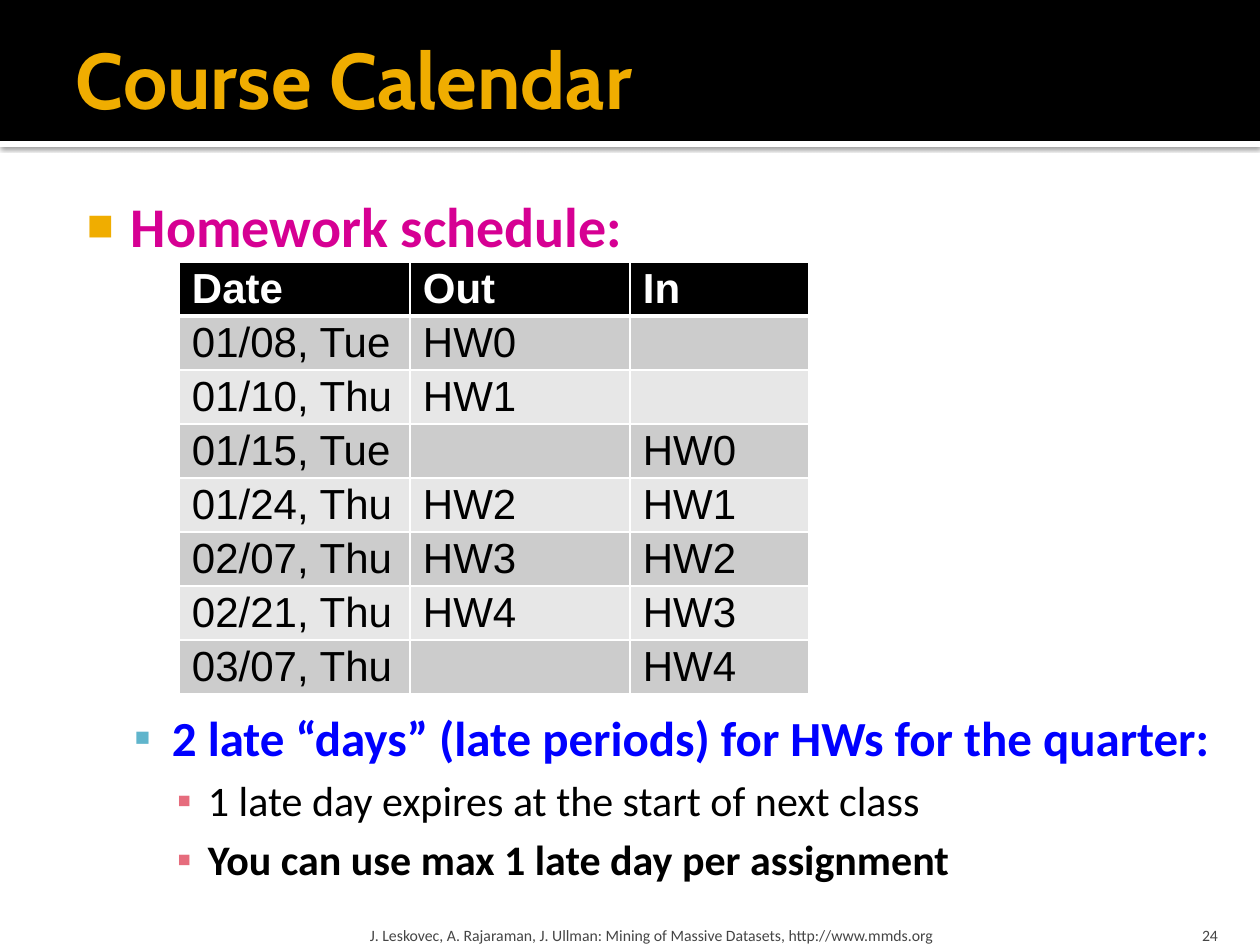
import lxml.etree
import pptx
import pptx.dml.color
import pptx.enum.shapes
import pptx.enum.text
import pptx.oxml
import pptx.oxml.ns
import pptx.util

SCALE = 914400 // 126
ANCHOR = pptx.enum.text.MSO_ANCHOR
ALIGN = pptx.enum.text.PP_ALIGN
NAMESPACE = pptx.oxml.ns.nsdecls("a")

SCHEDULE = [
    ("Date", "Out", "In"),
    ("01/08, Tue", "HW0", ""),
    ("01/10, Thu", "HW1", ""),
    ("01/15, Tue", "", "HW0"),
    ("01/24, Thu", "HW2", "HW1"),
    ("02/07, Thu", "HW3", "HW2"),
    ("02/21, Thu", "HW4", "HW3"),
    ("03/07, Thu", "", "HW4"),
]

BODY = [
    ("Homework schedule:", 0, 32, "D60093", True, 0, (60, 44), ("■", "F0AD00", 80)),
    ("2 late “days” (late periods) for HWs for the quarter:",
     1, 28, "0000FF", True, 256, (101, 38), ("▪", "60B5CC", 100)),
    ("1 late day expires at the start of next class",
     2, 24, "000000", False, 5, (137, 31), ("▪", "E66C7D", 100)),
    ("You can use max 1 late day per assignment",
     2, 24, "000000", True, 5, (137, 31), ("▪", "E66C7D", 100)),
]


def px(length):
    """Turn whole pixels into EMU."""
    return pptx.util.Emu(length * SCALE)


def color(code):
    """Turn a hex string into a colour."""
    return pptx.dml.color.RGBColor.from_string(code)


def style(para, name, size, code, bold=False):
    """Set the font of a paragraph."""
    font = para.font
    font.name = name
    font.size = pptx.util.Pt(size)
    font.bold = bold
    font.color.rgb = color(code)


def set_frame(frame, anchor, left, top, right, bottom):
    """Set wrapping, anchor and margins of a text frame."""
    frame.word_wrap = True
    frame.vertical_anchor = anchor
    frame.margin_left, frame.margin_top = px(left), px(top)
    frame.margin_right, frame.margin_bottom = px(right), px(bottom)


def add_band(page, box, code):
    """Add a plain rectangle behind the title."""
    band = page.shapes.add_shape(
        pptx.enum.shapes.MSO_SHAPE.RECTANGLE, *map(px, box))
    band.shadow.inherit = False
    band.fill.solid()
    band.fill.fore_color.rgb = color(code)
    band.line.fill.background()
    page.shapes.title.element.addprevious(band.element)
    return band


def add_header(page, box):
    """Place the title on its black band with a shadowed white edge."""
    left, top, width, height = box
    edge = add_band(page, (left, top + height, width, 6), "FFFFFF")
    effects = edge.element.spPr.find(pptx.oxml.ns.qn("a:effectLst"))
    effects.append(pptx.oxml.parse_xml(
        f'<a:outerShdw {NAMESPACE} blurRad="31750" dist="10160" dir="5400000">'
        '<a:srgbClr val="000000"><a:alpha val="60000"/></a:srgbClr></a:outerShdw>'))
    add_band(page, box, "000000")
    title = page.shapes.title
    title.left, title.top = px(left + 63), px(top + 10)
    title.width, title.height = px(width - 126), px(136)
    set_frame(title.text_frame, ANCHOR.MIDDLE, 13, 6, 6, 6)
    para = title.text_frame.paragraphs[0]
    para.text = "Course Calendar"
    para.alignment = ALIGN.LEFT
    style(para, "Cabin", 45, "F0AD00", True)


def add_bullet(para, indent, bullet):
    """Give a paragraph a hanging indent and a coloured bullet."""
    margin, hanging = indent
    mark, code, percent = bullet
    properties = para._p.get_or_add_pPr()
    properties.set("marL", str(px(margin)))
    properties.set("indent", str(px(-hanging)))
    for xml in (
        f'<a:buClr {NAMESPACE}><a:srgbClr val="{code}"/></a:buClr>',
        f'<a:buSzPct {NAMESPACE} val="{percent * 1000}"/>',
        f'<a:buFont {NAMESPACE} typeface="Arial"/>',
        f'<a:buChar {NAMESPACE} char="{mark}"/>',
    ):
        properties.append(pptx.oxml.parse_xml(xml))


def add_body(page, box):
    """Place the bulleted text, leaving room for the table."""
    frame = page.shapes.add_textbox(*map(px, box)).text_frame
    set_frame(frame, ANCHOR.TOP, 8, 13, 13, 6)
    for index, item in enumerate(BODY):
        text, level, size, code, bold, before, indent, bullet = item
        para = frame.add_paragraph() if index else frame.paragraphs[0]
        para.text = text
        para.level = level
        add_bullet(para, indent, bullet)
        para.space_before = pptx.util.Pt(before)
        style(para, "Calibri", size, code, bold)


def set_borders(cell, top, bottom):
    """Draw white borders, with the top and bottom widths in points."""
    properties = cell._tc.get_or_add_tcPr()
    widths = {"lnL": 1, "lnR": 1, "lnT": top, "lnB": bottom}
    for index, (side, width) in enumerate(widths.items()):
        properties.insert(index, pptx.oxml.parse_xml(
            f'<a:{side} {NAMESPACE} w="{width * 12700}"><a:solidFill>'
            f'<a:srgbClr val="FFFFFF"/></a:solidFill></a:{side}>'))


def add_schedule(page, box):
    """Place the homework table."""
    table = page.shapes.add_table(len(SCHEDULE), 3, *map(px, box)).table
    for column, width in zip(table.columns, (231, 220, 179)):
        column.width = px(width)
    for row, texts in enumerate(SCHEDULE):
        table.rows[row].height = px(box[3] // len(SCHEDULE))
        header = row == 0
        fill = "000000" if header else ("E7E7E7", "CCCCCC")[row % 2]
        for column, text in enumerate(texts):
            cell = table.cell(row, column)
            cell.fill.solid()
            cell.fill.fore_color.rgb = color(fill)
            cell.vertical_anchor = ANCHOR.MIDDLE
            cell.margin_left = cell.margin_right = px(13)
            cell.margin_top = cell.margin_bottom = 0
            set_borders(cell, 3 if row == 1 else 1, 3 if header else 1)
            para = cell.text_frame.paragraphs[0]
            para.text = text
            style(para, "Arial", 24, "FFFFFF" if header else "000000", header)


def add_footer(page, box, text, alignment, side):
    """Place one small line at the foot of the slide."""
    frame = page.shapes.add_textbox(*map(px, box)).text_frame
    set_frame(frame, ANCHOR.BOTTOM, side, 6, side, 0)
    para = frame.paragraphs[0]
    para.text = text
    para.alignment = alignment
    style(para, "Calibri", 9, "454545")


def main():
    """Build and save the deck."""
    deck = pptx.Presentation()
    deck.slide_width, deck.slide_height = px(1260), px(945)
    page = deck.slides.add_slide(deck.slide_layouts[5])
    add_header(page, (0, 0, 1260, 141))
    add_body(page, (63, 179, 1197, 746))
    add_schedule(page, (179, 262, 630, 432))
    add_footer(page, (364, 907, 759, 38),
               "J. Leskovec, A. Rajaraman, J. Ullman: Mining of Massive Datasets, "
               "http://www.mmds.org", ALIGN.LEFT, 6)
    add_footer(page, (1130, 907, 101, 38), "24", ALIGN.RIGHT, 13)
    deck.save("out.pptx")


if __name__ == "__main__":
    main()
